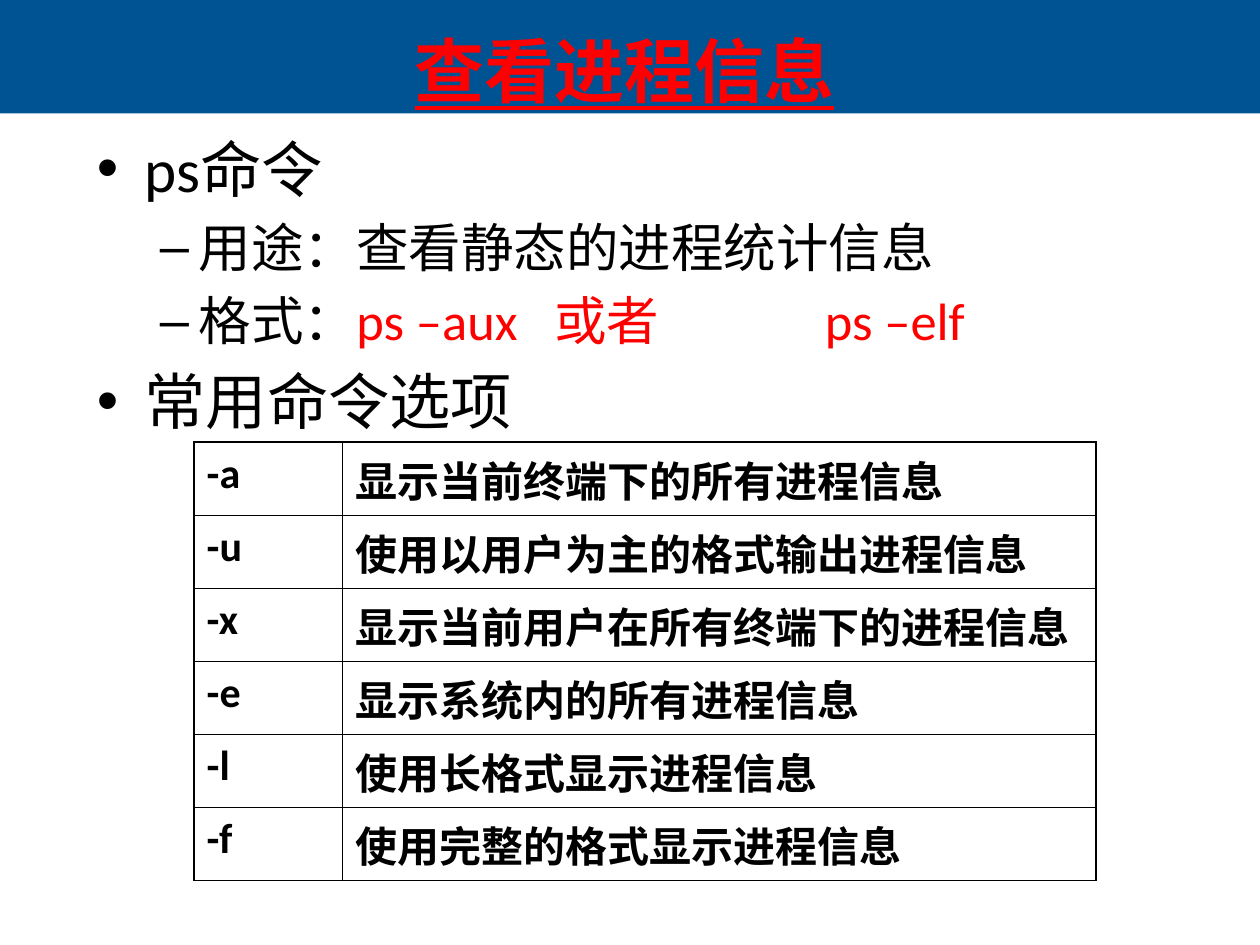
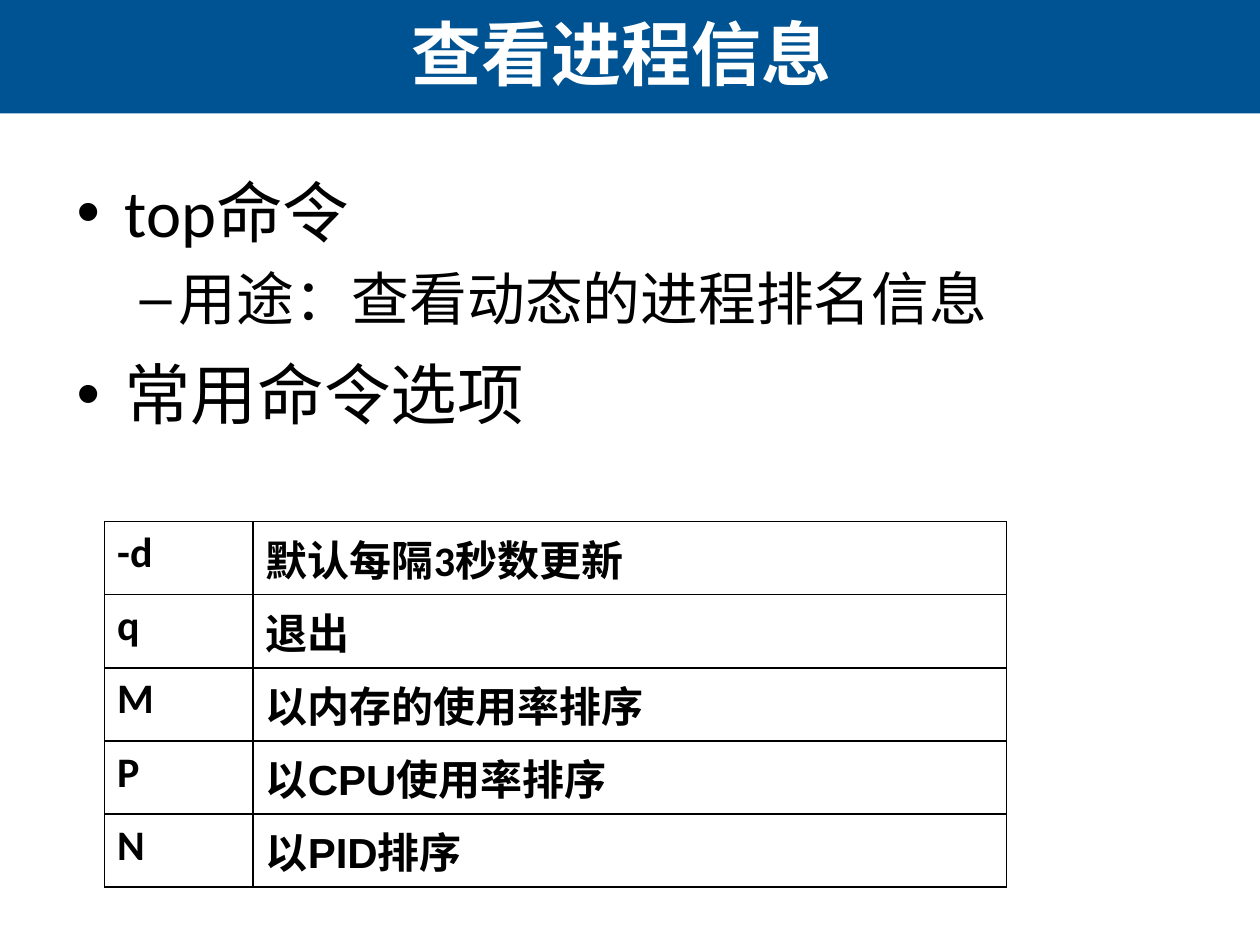
from dataclasses import dataclass
from typing import Any, NamedTuple

from lxml import etree
from pptx import Presentation
from pptx.dml.color import RGBColor
from pptx.enum.shapes import MSO_SHAPE
from pptx.enum.text import MSO_ANCHOR, PP_ALIGN
from pptx.oxml.ns import qn
from pptx.util import Inches, Pt

RECT = MSO_SHAPE.RECTANGLE
MIDDLE = MSO_ANCHOR.MIDDLE
CENTER = PP_ALIGN.CENTER


@dataclass(frozen=True)
class Theme:
    """Colours, fonts and type sizes shared by the slides."""
    band: RGBColor = RGBColor(0x00, 0x53, 0x92)
    black: RGBColor = RGBColor(0, 0, 0)
    white: RGBColor = RGBColor(0xFF, 0xFF, 0xFF)
    red: RGBColor = RGBColor(0xFF, 0, 0)
    body_font: str = "Calibri"
    title_font: str = "Arial"
    title_size: int = 40
    table_size: int = 24
    border: Any = Pt(1)


T = Theme()


class Span(NamedTuple):
    """A piece of text with its colour and extra letter spacing in points."""
    text: str
    color: RGBColor = T.black
    spacing: int = 0


class Bullet(NamedTuple):
    """A bulleted line made of spans."""
    spans: list[Span]
    sub: bool = False
    line_spacing: float | None = None


class Option(NamedTuple):
    """A command option and its description."""
    flag: str
    meaning: str
    font: str = T.body_font


class BulletStyle(NamedTuple):
    """Character and indents of a bullet level."""
    char: str
    left: float
    hanging: float


MAIN = BulletStyle("•", 0.38, 0.38)
SUB = BulletStyle("–", 0.81, 0.31)


@dataclass(frozen=True)
class CommandSlide:
    """Content and placement of one command slide."""
    title_box: tuple[float, float, float, float]
    title_color: RGBColor
    underline: bool
    body_box: tuple[float, float, float, float]
    main_size: int
    sub_size: int
    bullets: list[Bullet]
    table_at: tuple[float, float]
    options: list[Option]


def add_run(p: Any, text: str, **fmt: Any) -> Any:
    """Add a run and apply its font format."""
    r = p.add_run()
    r.text = text
    r.font.color.rgb = fmt.pop("color", T.black)
    for name, value in fmt.items():
        setattr(r.font, name, value)
    return r


def add_text_box(s: Any, box: tuple[float, ...]) -> Any:
    """Add a wrapping text box and return its text frame."""
    tf = s.shapes.add_textbox(*map(Inches, box)).text_frame
    tf.word_wrap = True
    return tf


def add_band(s: Any) -> None:
    """Draw the coloured band behind the title."""
    sp = s.shapes.add_shape(RECT, 0, 0, Inches(10), Inches(0.9))
    sp.shadow.inherit = False
    sp.fill.solid()
    sp.fill.fore_color.rgb = T.band
    sp.line.fill.background()


def add_title(s: Any, c: CommandSlide) -> None:
    """Write the centred slide title."""
    tf = add_text_box(s, c.title_box)
    tf.vertical_anchor = MIDDLE
    p = tf.paragraphs[0]
    p.alignment = CENTER
    add_run(p, "查看进程信息", name=T.title_font, size=Pt(T.title_size), bold=True,
            underline=c.underline, color=c.title_color)


def set_bullet(p: Any, style: BulletStyle) -> None:
    """Give a paragraph its bullet, hanging indent and space before."""
    pPr = p._p.get_or_add_pPr()
    pPr.set("marL", str(Inches(style.left)))
    pPr.set("indent", str(-Inches(style.hanging)))
    before = etree.SubElement(pPr, qn("a:spcBef"))
    etree.SubElement(before, qn("a:spcPct"), val="20000")
    etree.SubElement(pPr, qn("a:buFont"), typeface="Arial")
    etree.SubElement(pPr, qn("a:buChar"), char=style.char)


def add_body(s: Any, c: CommandSlide) -> None:
    """Write the bulleted lines."""
    tf = add_text_box(s, c.body_box)
    for i, bullet in enumerate(c.bullets):
        p = tf.add_paragraph() if i else tf.paragraphs[0]
        set_bullet(p, SUB if bullet.sub else MAIN)
        if bullet.sub:
            p.level = 1
        if bullet.line_spacing:
            p.line_spacing = bullet.line_spacing
        size = Pt(c.sub_size if bullet.sub else c.main_size)
        for span in bullet.spans:
            r = add_run(p, span.text, name=T.body_font, size=size, color=span.color)
            if span.spacing:
                r.font._element.set("spc", str(span.spacing * 100))


def set_borders(cell: Any) -> None:
    """Draw thin black lines on all sides of a cell."""
    tcPr = cell._tc.get_or_add_tcPr()
    for i, side in enumerate(("lnL", "lnR", "lnT", "lnB")):
        ln = etree.Element(qn(f"a:{side}"), w=str(T.border))
        fill = etree.SubElement(ln, qn("a:solidFill"))
        etree.SubElement(fill, qn("a:srgbClr"), val=str(T.black))
        tcPr.insert(i, ln)


def add_options(s: Any, c: CommandSlide) -> None:
    """Build the table of command options."""
    widths, row_height = (1.18, 5.98), 0.58
    rows = len(c.options)
    table = s.shapes.add_table(rows, 2, *map(Inches, c.table_at), Inches(sum(widths)),
                               Inches(row_height * rows)).table
    table.first_row = table.horz_banding = False
    for col, width in zip(table.columns, widths):
        col.width = Inches(width)
    for row, option in enumerate(c.options):
        texts = ((option.flag, T.body_font), (option.meaning, option.font))
        for col, (text, font) in enumerate(texts):
            cell = table.cell(row, col)
            cell.fill.background()
            set_borders(cell)
            add_run(cell.text_frame.paragraphs[0], text, name=font,
                    size=Pt(T.table_size), bold=True)


SLIDES = [
    CommandSlide(
        title_box=(0.02, 0.1, 9.87, 0.9), title_color=T.red, underline=True,
        body_box=(0.67, 0.99, 9, 2.6), main_size=35, sub_size=30,
        bullets=[
            Bullet([Span("ps命令")]),
            Bullet([Span("用途：查看静态的进程统计信息")], sub=True),
            Bullet([Span("格式："), Span("ps –aux", T.red), Span(" ", T.red, 14),
                    Span("或者", T.red), Span(" ", T.red, 88), Span("ps –elf", T.red)],
                   sub=True),
            Bullet([Span("常用命令选项")]),
        ],
        table_at=(1.54, 3.51),
        options=[
            Option("-a", "显示当前终端下的所有进程信息"),
            Option("-u", "使用以用户为主的格式输出进程信息"),
            Option("-x", "显示当前用户在所有终端下的进程信息"),
            Option("-e", "显示系统内的所有进程信息"),
            Option("-l", "使用长格式显示进程信息"),
            Option("-f", "使用完整的格式显示进程信息"),
        ],
    ),
    CommandSlide(
        title_box=(0, -0.03, 9.87, 0.9), title_color=T.white, underline=False,
        body_box=(0.51, 1.31, 9, 4.95), main_size=38, sub_size=33,
        bullets=[
            Bullet([Span("top命令")]),
            Bullet([Span("用途：查看动态的进程排名信息")], sub=True),
            Bullet([Span("常用命令选项")], line_spacing=1.1),
        ],
        table_at=(0.83, 4.14),
        options=[
            Option("-d", "默认每隔3秒数更新"),
            Option("q", "退出"),
            Option("M", "以内存的使用率排序", T.title_font),
            Option("P", "以CPU使用率排序", T.title_font),
            Option("N", "以PID排序", T.title_font),
        ],
    ),
]


def main() -> None:
    """Build and save the presentation."""
    prs = Presentation()
    prs.slide_width, prs.slide_height = Inches(10), Inches(7.5)
    for c in SLIDES:
        s = prs.slides.add_slide(prs.slide_layouts[6])
        for draw in (add_band,):
            draw(s)
        for draw in (add_body, add_title, add_options):
            draw(s, c)
    prs.save("out.pptx")


if __name__ == "__main__":
    main()
